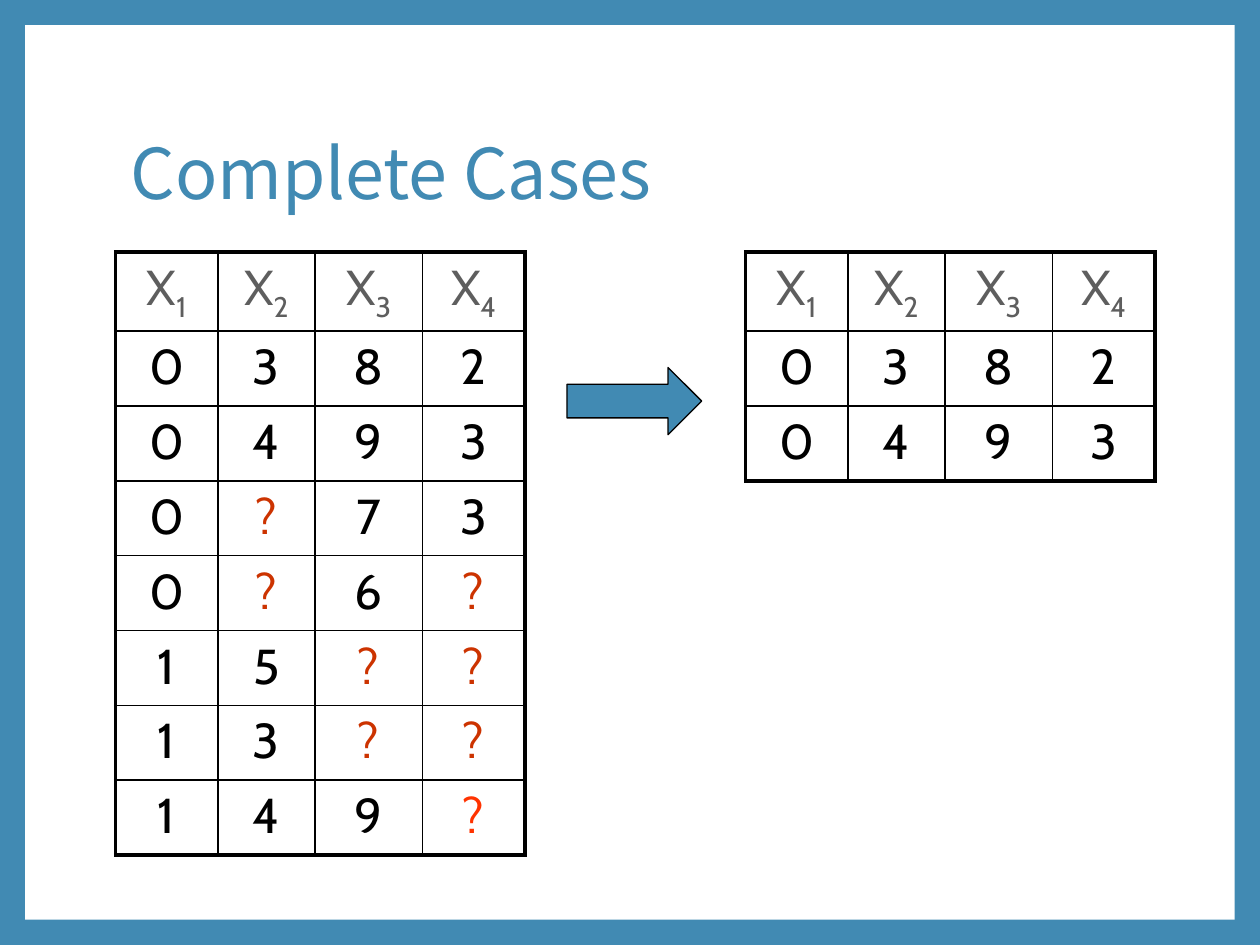
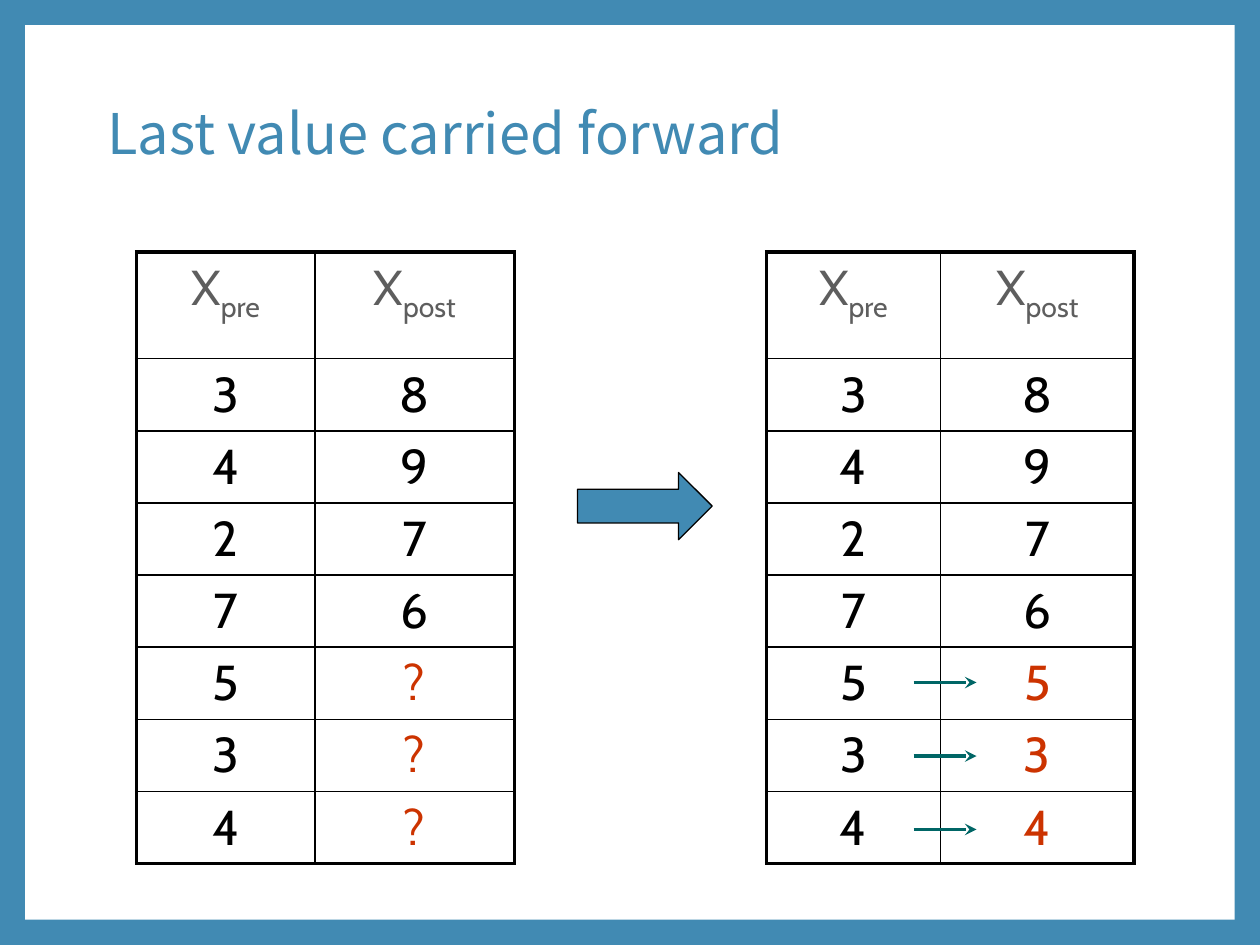
from dataclasses import dataclass
from lxml import etree
from pptx import Presentation
from pptx.dml.color import RGBColor
from pptx.enum.shapes import MSO_CONNECTOR, MSO_SHAPE
from pptx.enum.text import MSO_ANCHOR, PP_ALIGN
from pptx.oxml.ns import qn
from pptx.util import Pt

LEFT, CENTER = PP_ALIGN.LEFT, PP_ALIGN.CENTER
MIDDLE = MSO_ANCHOR.MIDDLE
RECT, ARROW = MSO_SHAPE.RECTANGLE, MSO_SHAPE.RIGHT_ARROW
STRAIGHT = MSO_CONNECTOR.STRAIGHT


@dataclass
class Theme:
    blue: str = "418AB3"
    white: str = "FFFFFF"
    black: str = "000000"
    grey: str = "5E5E5E"
    red: str = "CC3300"
    bright: str = "FF3300"
    teal: str = "006666"
    head: str = "Noto Sans CJK SC"
    body: str = "Cabin"
    cell: int = 28
    thick: float = 2.25
    thin: float = 1


theme = Theme()


def write(frame, text, size, font, color, align=LEFT, lead=None, before=0):
    """Fill a frame; the part after an underscore becomes a subscript."""
    para = frame.paragraphs[0]
    para.alignment = align
    if lead:
        para.line_spacing = lead
    if before:
        space = etree.SubElement(para._p.get_or_add_pPr(), qn("a:spcBef"))
        etree.SubElement(space, qn("a:spcPct"), val=str(before * 1000))
    for i, part in enumerate(text.split("_")):
        run = para.add_run()
        run.text = part
        run.font.size, run.font.name = Pt(size), font
        run.font.color.rgb = RGBColor.from_string(color)
        if i:
            run._r.get_or_add_rPr().set("baseline", "-25000")


def draw_grid(slide, left, top, widths, heights, rows, marks):
    """Draw a table with a thick frame; marks gives colours of single cells."""
    grid = slide.shapes.add_table(
        len(rows), len(widths), Pt(left), Pt(top),
        Pt(sum(widths)), Pt(sum(heights))).table
    grid.first_row = grid.horz_banding = False
    for col, width in zip(grid.columns, widths):
        col.width = Pt(width)
    for row, height in zip(grid.rows, heights):
        row.height = Pt(height)
    for r, row in enumerate(rows):
        for c, text in enumerate(row.split()):
            base = theme.black if r else theme.grey
            if text == "?":
                base = theme.red
            cell = grid.cell(r, c)
            write(cell.text_frame, text, size=theme.cell, font=theme.body,
                  color=marks.get((r, c), base), align=CENTER, before=20)
            cell.fill.background()
            # Cell borders: thick on the outer edges
            edges = {"L": c == 0, "R": c == len(widths) - 1,
                     "T": r == 0, "B": r == len(rows) - 1}
            props = cell._tc.get_or_add_tcPr()
            for i, (side, outer) in enumerate(edges.items()):
                width = Pt(theme.thick if outer else theme.thin)
                line = etree.Element(qn("a:ln" + side), w=str(int(width)))
                fill = etree.SubElement(line, qn("a:solidFill"))
                etree.SubElement(fill, qn("a:srgbClr"), val=theme.black)
                props.insert(i, line)


prs = Presentation()
prs.slide_width, prs.slide_height = Pt(720), Pt(540)

# Content of both slides
four = [58.5, 55.5, 61.5, 58.5]
tall = [61] + [41] * 7
short = [42.75] * 8
full = ["X_1 X_2 X_3 X_4", "0 3 8 2", "0 4 9 3", "0 ? 7 3", "0 ? 6 ?",
        "1 5 ? ?", "1 3 ? ?", "1 4 9 ?"]
pairs = ["X_pre X_post", "3 8", "4 9", "2 7", "7 6"]
pages = [
    dict(title="Complete Cases", size=40, box=(67.5, 48, 583, 106.5),
         arrow=(324, 210),
         grids=[(66, four, short, full, {(7, 3): theme.bright}),
                (426, four, short[:3], full[:3], {})],
         steps=[]),
    dict(title="Last value carried forward", size=32, box=(54, 48, 612, 60),
         arrow=(330, 270),
         grids=[(78, [102, 114], tall, pairs + ["5 ?", "3 ?", "4 ?"], {}),
                (438, [99.5, 110.5], tall, pairs + ["5 5", "3 3", "4 4"],
                 {(r, 1): theme.red for r in (5, 6, 7)})],
         steps=[390, 432, 474]),
]

# Shared blue frame: master background with a white panel
master = prs.slide_master
master.background.fill.solid()
master.background.fill.fore_color.rgb = RGBColor.from_string(theme.blue)
layout = prs.slide_layouts[5]

for n, page in enumerate(pages):
    slide = prs.slides.add_slide(layout)
    if n == 0:
        panel = slide.shapes.add_shape(RECT, Pt(14.4), Pt(14.4),
                                       Pt(691.2), Pt(511.2))
        panel.shadow.inherit = False
        panel.fill.solid()
        panel.fill.fore_color.rgb = RGBColor.from_string(theme.white)
        panel.line.fill.background()
        master.shapes.element.insert(2, panel.element)

    # Title
    title = slide.shapes.title
    title.left, title.top, title.width, title.height = map(Pt, page["box"])
    title.text_frame.vertical_anchor = MIDDLE
    write(title.text_frame, page["title"], size=page["size"],
          font=theme.head, color=theme.blue, lead=0.9)

    # Tables before and after
    for left, widths, heights, rows, marks in page["grids"]:
        draw_grid(slide, left, 144, widths, heights, rows, marks)

    # Block arrow between the tables
    left, top = page["arrow"]
    arrow = slide.shapes.add_shape(ARROW, Pt(left), Pt(top), Pt(77), Pt(38.4))
    arrow.shadow.inherit = False
    arrow.fill.solid()
    arrow.fill.fore_color.rgb = RGBColor.from_string(theme.blue)
    arrow.line.color.rgb = RGBColor.from_string(theme.black)
    arrow.line.width = Pt(0.75)

    # Small arrows from the last value to the filled one
    for y in page["steps"]:
        step = slide.shapes.add_connector(STRAIGHT, Pt(522), Pt(y),
                                          Pt(558), Pt(y))
        step.line.color.rgb = RGBColor.from_string(theme.teal)
        step.line.width = Pt(theme.thick)
        etree.SubElement(step.get_or_add_ln(), qn("a:tailEnd"), type="stealth")
        etree.SubElement(step.element.spPr, qn("a:effectLst"))

prs.save("out.pptx")
